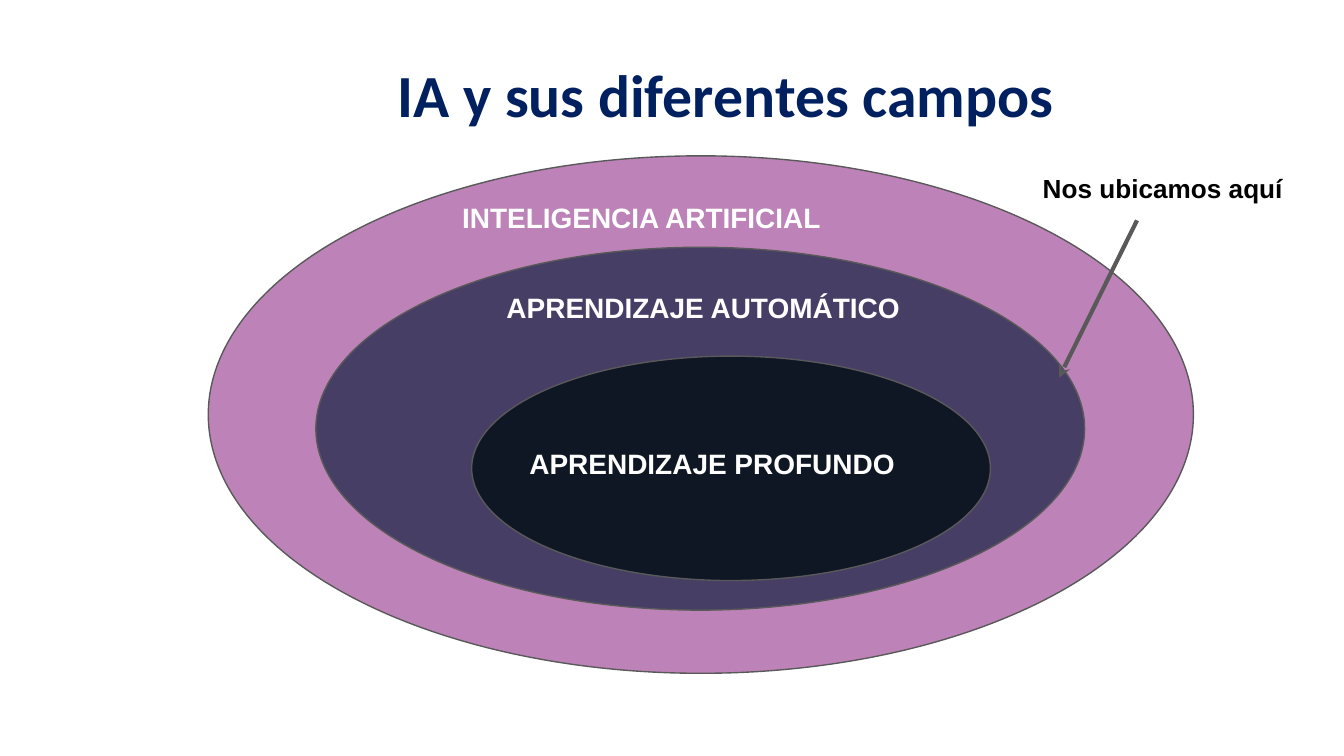
from lxml.etree import SubElement
from pptx import Presentation
from pptx.dml.color import RGBColor
from pptx.enum.shapes import MSO_CONNECTOR, MSO_SHAPE
from pptx.enum.text import MSO_ANCHOR, MSO_AUTO_SIZE, PP_ALIGN
from pptx.oxml.ns import qn
from pptx.util import Inches, Pt

COLORS = {
    "title": "002060", "outline": "595959", "white": "FFFFFF", "black": "000000",
    "ai": "BD83B8", "machine": "473E66", "deep": "0F1624",
}
SLIDE_SIZE = (10, 10 * 9 / 16)
TITLE = "IA y sus diferentes campos"
TITLE_BOX = (1.3, 0.23, 8.2, 0.94)
# Nested fields, outermost first: label, fill, ellipse box, label box
FIELDS = [
    ("INTELIGENCIA ARTIFICIAL", "ai", (1.55, 1.16, 7.33, 3.85), (3.34, 1.39, 6.66, 0.45)),
    ("APRENDIZAJE AUTOMÁTICO", "machine", (2.35, 1.84, 5.72, 2.7), (3.67, 2.06, 3.35, 0.45)),
    ("APRENDIZAJE PROFUNDO", "deep", (3.51, 2.65, 3.86, 1.67), (3.84, 3.22, 3.29, 0.45)),
]
NOTE = "Nos ubicamos aquí"
NOTE_BOX = (7.66, 1.18, 2.1, 0.44)
ARROW = (7.88, 2.81, 8.46, 1.64)  # tip, then tail


def inches(values):
    return [Inches(v) for v in values]


def rgb(name):
    return RGBColor.from_string(COLORS[name])


def write(sp, text, size=15, font="Arial", color="white",
          align=PP_ALIGN.LEFT, anchor=MSO_ANCHOR.TOP):
    tf = sp.text_frame
    tf.word_wrap = True
    tf.auto_size = MSO_AUTO_SIZE.NONE
    tf.vertical_anchor = anchor
    tf.margin_left = tf.margin_right = tf.margin_top = tf.margin_bottom = Inches(0.1)
    p = tf.paragraphs[0]
    p.alignment = align
    r = p.add_run()
    r.text = text
    r.font.size, r.font.name, r.font.bold = Pt(size), font, True
    r.font.color.rgb = rgb(color)


def add_ellipse(slide, box, fill):
    sp = slide.shapes.add_shape(MSO_SHAPE.OVAL, *inches(box))
    sp.shadow.inherit = False
    sp.fill.solid()
    sp.fill.fore_color.rgb = rgb(fill)
    sp.line.color.rgb = rgb("outline")
    sp.line.width = Pt(0.75)


def add_arrow(slide, ends):
    """Draw a line with its arrowhead at the first end."""
    arrow = slide.shapes.add_connector(MSO_CONNECTOR.STRAIGHT, *inches(ends))
    arrow.line.color.rgb = rgb("outline")
    arrow.line.width = Pt(2.25)
    sp_pr = arrow._element.spPr
    SubElement(sp_pr.find(qn("a:ln")), qn("a:headEnd"), type="stealth")
    SubElement(sp_pr, qn("a:effectLst"))


def main():
    prs = Presentation()
    prs.slide_width, prs.slide_height = inches(SLIDE_SIZE)
    slide = prs.slides.add_slide(prs.slide_layouts[5])

    title = slide.shapes.title
    title.left, title.top, title.width, title.height = inches(TITLE_BOX)
    write(title, TITLE, size=32, font="Calibri", color="title",
          align=PP_ALIGN.CENTER, anchor=MSO_ANCHOR.MIDDLE)

    for label, fill, ellipse_box, label_box in FIELDS:
        add_ellipse(slide, ellipse_box, fill)
        write(slide.shapes.add_textbox(*inches(label_box)), label)

    add_arrow(slide, ARROW)
    write(slide.shapes.add_textbox(*inches(NOTE_BOX)), NOTE, size=14, color="black")
    prs.save("out.pptx")


if __name__ == "__main__":
    main()
